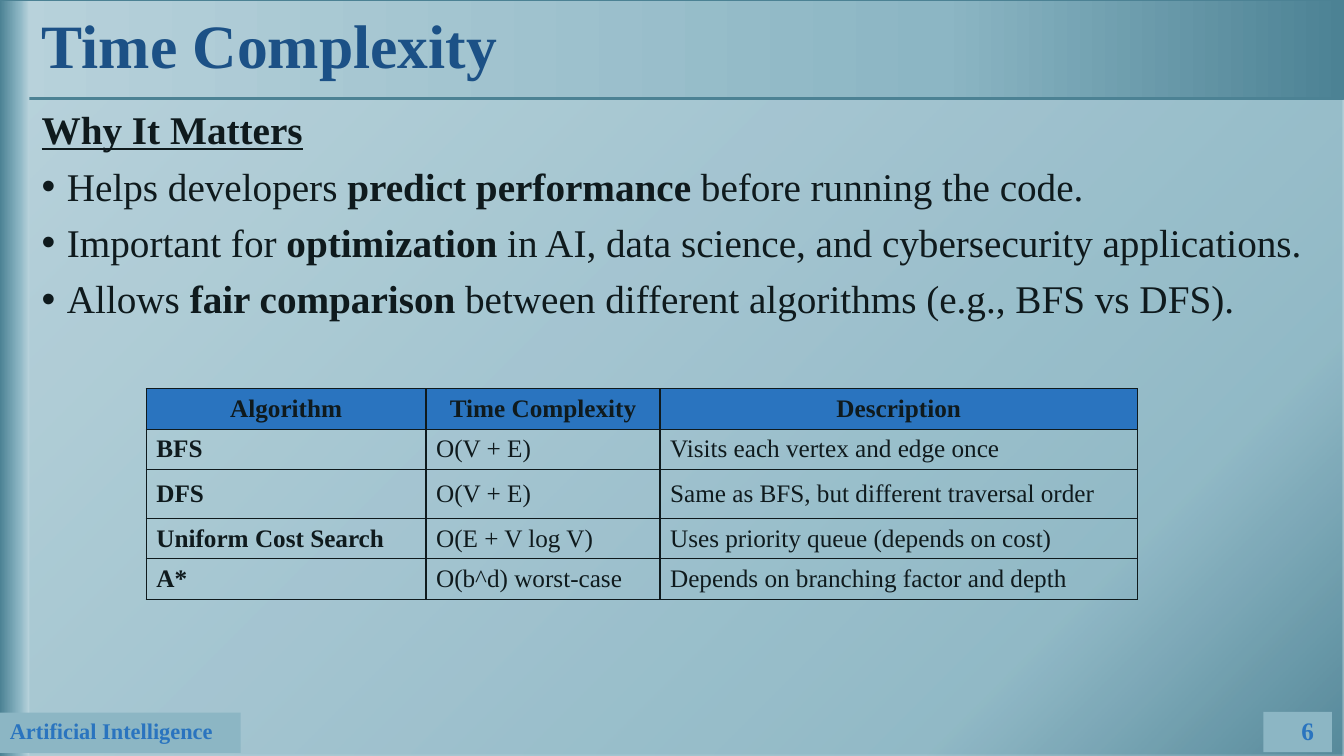
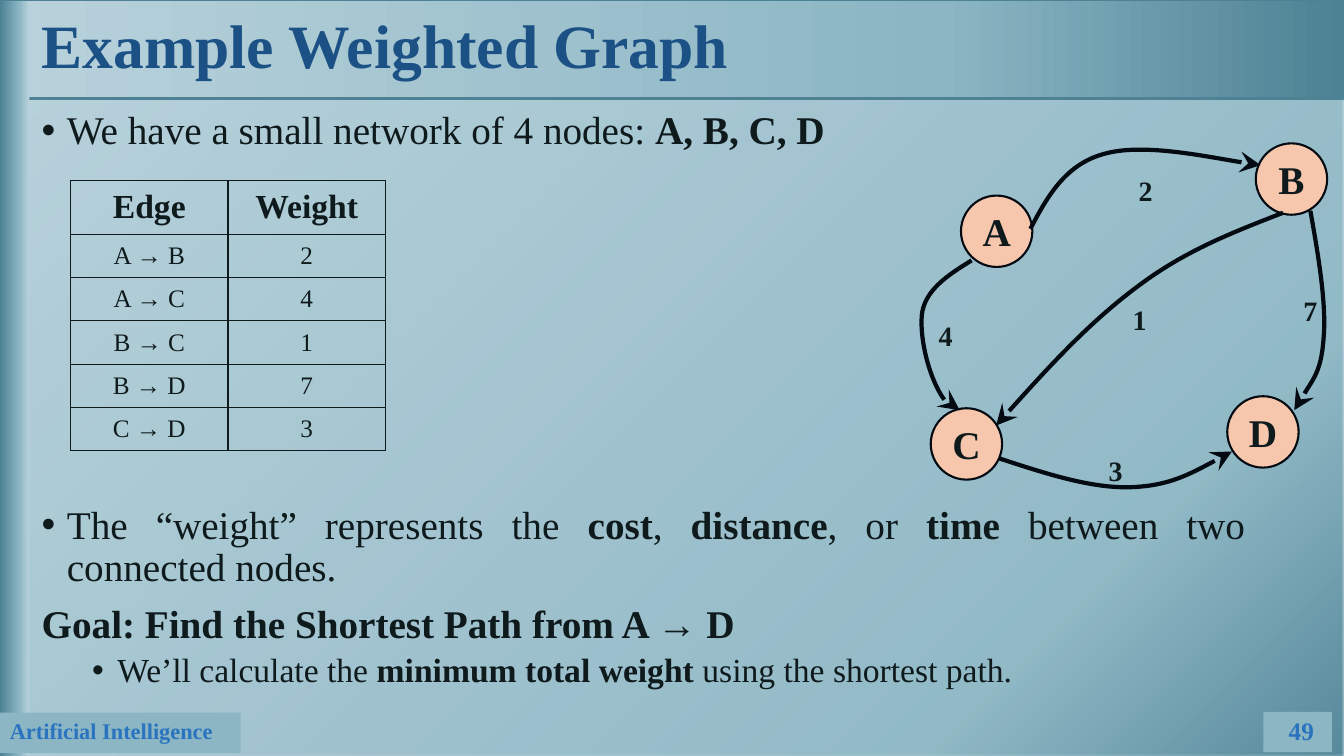
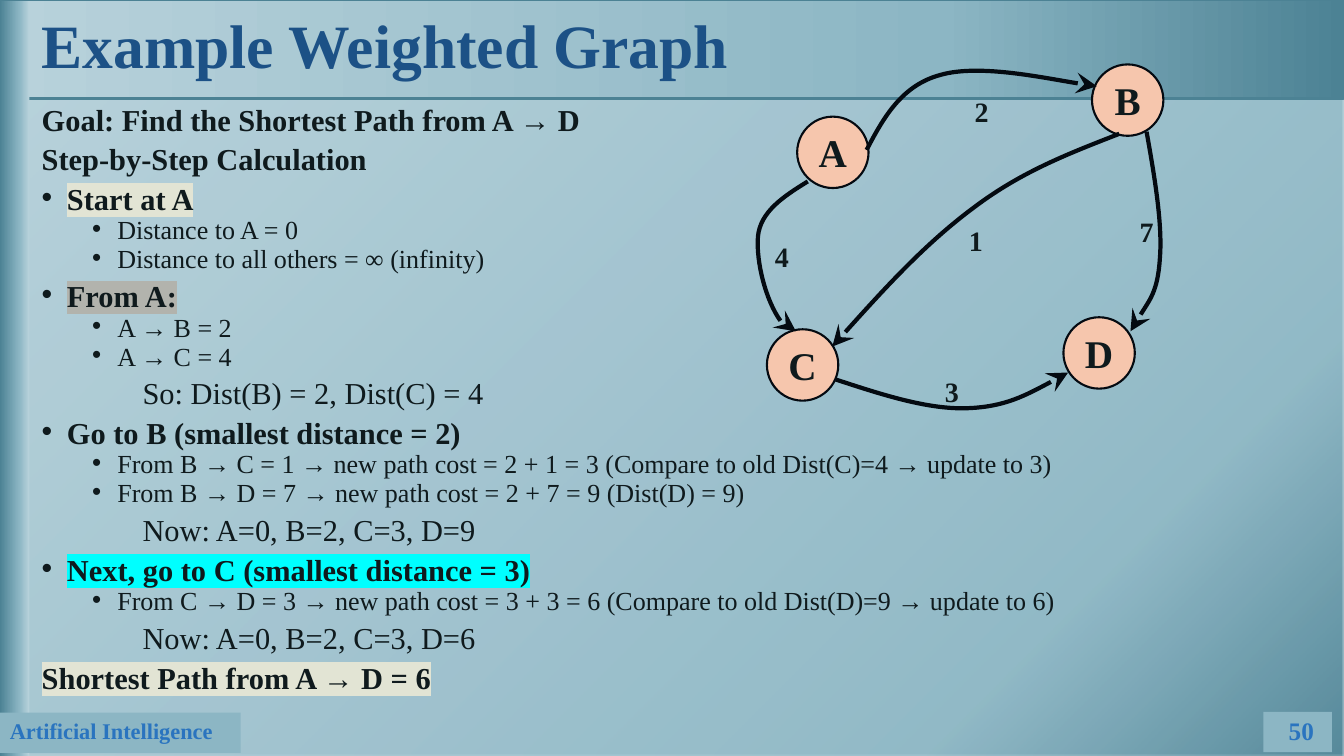
"""Build three lecture slides on time complexity and shortest paths."""
from lxml.etree import SubElement
from pptx import Presentation
from pptx.dml.color import RGBColor as RGB
from pptx.enum.shapes import MSO_SHAPE as SHAPE
from pptx.enum.text import MSO_ANCHOR as ANCHOR, MSO_AUTO_SIZE as AUTO, PP_ALIGN as ALIGN
from pptx.oxml.ns import qn
from pptx.util import Pt

FONT = "Times New Roman"
HUE = {
    "page": "D6E5EA", "deep": "4C8294", "mid": "8CB6C4", "pale": "B8D2DB",
    "title": "1C5186", "blue": "2A74BF", "ink": "0F1A1D", "line": "040A11",
    "node": "F6C6AD", "sand": "E2E4D4", "grey": "B2B3AD", "cyan": "00FFFF",
}


def write(par, text, size, hue="ink", bold=False, align=ALIGN.LEFT):
    par.alignment = align
    font = par.font
    font.name, font.size, font.bold = FONT, Pt(size), bold
    font.color.rgb = RGB.from_string(HUE[hue])
    for i, part in enumerate(text.split("|")):
        if part:
            run = par.add_run()
            run.text = part
            if i % 2:
                run.font.bold = True


def grid(sheet, left, top, cols, rows, data):
    table = sheet.shapes.add_table(
        len(rows), len(cols), Pt(left), Pt(top), Pt(sum(cols)), Pt(sum(rows))).table
    table.first_row = table.horz_banding = False
    for col, width in zip(table.columns, cols):
        col.width = Pt(width)
    for row, height, texts in zip(table.rows, rows, data):
        row.height = Pt(height)
        for cell, text in zip(row.cells, texts):
            props = cell._tc.get_or_add_tcPr()
            for side in ("lnL", "lnR", "lnT", "lnB"):
                edge = SubElement(props, qn(f"a:{side}"), w=str(Pt(1)))
                fill = SubElement(edge, qn("a:solidFill"))
                SubElement(fill, qn("a:srgbClr"), val=HUE["ink"])
            cell.fill.background()
            cell.vertical_anchor = ANCHOR.MIDDLE
            yield cell, text


deck = Presentation()
deck.slide_width, deck.slide_height = Pt(960), Pt(540)
layout = deck.slide_layouts[1]
back = layout.background.fill
back.solid()
back.fore_color.rgb = RGB.from_string(HUE["page"])
sheets = [deck.slides.add_slide(layout) for _ in range(3)]

bands = [
    (0, 1, 960, 539, 20, None, 92),
    (0.7, -0.7, 959.3, 71.2, 30, 180, 100),
    (902.4, 508.5, 49, 28.8, None, None, 100),
    (0, 1, 21, 539, 66, 0, 100),
    (0, 509, 172, 28.8, None, None, 100),
]
for i, (x, y, w, h, stop, angle, alpha) in enumerate(bands):
    band = sheets[0].shapes.add_shape(SHAPE.RECTANGLE, Pt(x), Pt(y), Pt(w), Pt(h))
    band.shadow.inherit = False
    band.line.fill.background()
    band.fill.solid()
    band.fill.fore_color.rgb = RGB.from_string(HUE["mid"])
    root = band.element
    if stop:
        flat = root.spPr.find(qn("a:solidFill"))
        grad = SubElement(root.spPr, qn("a:gradFill"), rotWithShape="1")
        stops = SubElement(grad, qn("a:gsLst"))
        for pos, hue in ((0, "deep"), (stop, "mid"), (100, "pale")):
            mark = SubElement(stops, qn("a:gs"), pos=str(pos * 1000))
            tint = SubElement(mark, qn("a:srgbClr"), val=HUE[hue])
            SubElement(tint, qn("a:alpha"), val=str(alpha * 1000))
        if angle is None:
            ring = SubElement(grad, qn("a:path"), path="circle")
            SubElement(ring, qn("a:fillToRect"), l="100000", t="100000")
        else:
            SubElement(grad, qn("a:lin"), ang=str(angle * 60000), scaled="0")
        root.spPr.replace(flat, grad)
    if angle == 180:
        band.line.color.rgb = RGB.from_string(HUE["deep"])
        band.line.width = Pt(2.25)
    root.nvSpPr.cNvPr.set("id", str(20 + i))
    layout.shapes.element.insert(2 + i, root)
band.text_frame.vertical_anchor = ANCHOR.TOP
write(band.text_frame.paragraphs[0], "Artificial Intelligence", 16, "blue", True)

kinds = {
    "head": (0, 0, 0, 10), "dot": (0, 18, -18, 10),
    "sub": (1, 54, -18, 5), "sum": (0, 72, 0, 10),
}
pages = [
    ("Time Complexity", "6", 925, 0.9, ALIGN.JUSTIFY, 28, 24, [
        ("head", "|Why It Matters|"),
        ("dot", "Helps developers |predict performance| before running the code."),
        ("dot", "Important for |optimization| in AI, data science, and cybersecurity applications."),
        ("dot", "Allows |fair comparison| between different algorithms (e.g., BFS vs DFS)."),
    ]),
    ("Example Weighted Graph", "49", 874, 0.9, ALIGN.JUSTIFY, 28, 24, [
        ("dot", "We have a small network of 4 nodes: |A, B, C, D|"),
        ("dot", "The “weight” represents the |cost|, |distance|, or |time| between two connected nodes."),
        ("head", "|Goal: Find the Shortest Path from A → D|"),
        ("sub", "We’ll calculate the |minimum total weight| using the shortest path."),
    ]),
    ("Example Weighted Graph", "50", 874, 0.7, ALIGN.LEFT, 21.7, 18.6, [
        ("head", "|Goal: Find the Shortest Path from A → D|"),
        ("head", "|Step-by-Step Calculation|"),
        ("dot", "|Start at A|"),
        ("sub", "Distance to A = 0"),
        ("sub", "Distance to all others = ∞ (infinity)"),
        ("dot", "|From A:|"),
        ("sub", "A → B = 2"),
        ("sub", "A → C = 4"),
        ("sum", "So: Dist(B) = 2, Dist(C) = 4"),
        ("dot", "|Go to B (smallest distance = 2)|"),
        ("sub", "From B → C = 1 → new path cost = 2 + 1 = 3 (Compare to old Dist(C)=4 → update to 3)"),
        ("sub", "From B → D = 7 → new path cost = 2 + 7 = 9 (Dist(D) = 9)"),
        ("sum", "Now: A=0, B=2, C=3, D=9"),
        ("dot", "|Next, go to C (smallest distance = 3)|"),
        ("sub", "From C → D = 3 → new path cost = 3 + 3 = 6 (Compare to old Dist(D)=9 → update to 6)"),
        ("sum", "Now: A=0, B=2, C=3, D=6"),
        ("head", "|Shortest Path from A → D = 6|"),
    ]),
]
lists = []
for sheet, (name, number, width, pitch, align, big, small, items) in zip(sheets, pages):
    title, body = sheet.placeholders
    title.left, title.top, title.width, title.height = Pt(22.6), Pt(2.4), Pt(896), Pt(65)
    frame = title.text_frame
    frame.auto_size, frame.vertical_anchor = AUTO.NONE, ANCHOR.MIDDLE
    frame.paragraphs[0].line_spacing = 0.9
    write(frame.paragraphs[0], name, 44, "title", True)

    body.left, body.top, body.width, body.height = Pt(22.6), Pt(75.6), Pt(width), Pt(451)
    frame = body.text_frame
    frame.auto_size, frame.vertical_anchor = AUTO.NONE, ANCHOR.TOP
    for i, (kind, text) in enumerate(items):
        par = frame.add_paragraph() if i else frame.paragraphs[0]
        level, margin, hang, gap = kinds[kind]
        props = par._p.get_or_add_pPr()
        props.set("marL", str(Pt(margin)))
        props.set("indent", str(Pt(hang)))
        if hang:
            SubElement(props, qn("a:buFont"), typeface="Arial")
            SubElement(props, qn("a:buChar"), char="•")
        else:
            SubElement(props, qn("a:buNone"))
        par.level = level
        par.line_spacing = pitch
        par.space_before = Pt(gap if i else 0)
        write(par, text, small if level else big, align=align)
    lists.append(frame.paragraphs)

    box = sheet.shapes.add_textbox(Pt(812.6), Pt(507.4), Pt(133), Pt(29))
    box.text_frame.word_wrap = True
    box.text_frame.vertical_anchor = ANCHOR.MIDDLE
    write(box.text_frame.paragraphs[0], number, 18, "blue", True, ALIGN.RIGHT)

lists[0][0].runs[0].font.underline = True
lists[1][1].space_before = Pt(251.6)
for i, hue in ((2, "sand"), (5, "grey"), (13, "cyan"), (16, "sand")):
    mark = SubElement(lists[2][i].runs[0]._r.get_or_add_rPr(), qn("a:highlight"))
    SubElement(mark, qn("a:srgbClr"), val=HUE[hue])

costs = [
    ("Algorithm", "Time Complexity", "Description"),
    ("BFS", "O(V + E)", "Visits each vertex and edge once"),
    ("DFS", "O(V + E)", "Same as BFS, but different traversal order"),
    ("Uniform Cost Search", "O(E + V log V)", "Uses priority queue (depends on cost)"),
    ("A*", "O(b^d) worst-case", "Depends on branching factor and depth"),
]
firsts = [row[0] for row in costs]
rows = (28.8, 28.8, 35, 28.8, 28.8)
for cell, text in grid(sheets[0], 104.5, 277.7, (199.8, 167.2, 341), rows, costs):
    head = text in costs[0]
    if head:
        cell.fill.solid()
        cell.fill.fore_color.rgb = RGB.from_string(HUE["blue"])
    write(cell.text_frame.paragraphs[0], text, 18, bold=head or text in firsts,
          align=ALIGN.CENTER if head else ALIGN.LEFT)

edges = [("Edge", "Weight"), ("A → B", "2"), ("A → C", "4"),
         ("B → C", "1"), ("B → D", "7"), ("C → D", "3")]
for cell, text in grid(sheets[1], 50.4, 128.9, (112.5,) * 2, (38.5,) + (30.9,) * 5, edges):
    head = text in edges[0]
    write(cell.text_frame.paragraphs[0], text, 24 if head else 18, bold=head, align=ALIGN.CENTER)

nodes = {"A": (686.4, 139.7), "B": (897, 102.4), "C": (664.8, 291.6), "D": (876.6, 283)}
curves = {
    "2": [(736, 163.5), (748, 140.5), (761, 117.5), (788.5, 110),
          (816, 102), (883, 116), (900.5, 118)],
    "4": [(694, 186), (677, 196.5), (660, 207.5), (658.4, 225.5),
          (657, 243.5), (669, 293), (685.5, 293)],
    "1": [(916.5, 152), (882, 165.5), (847.5, 178.5), (813.5, 204),
          (779, 229.5), (745, 266.5), (711.5, 304)],
    "7": [(936, 150.5), (942, 184), (947.5, 217.5), (945.5, 241),
          (944, 265), (931.5, 281), (924.5, 293)],
    "3": [(714, 327.5), (747.5, 338.5), (780, 349), (808, 348),
          (835, 347), (857.5, 335), (880, 322.5)],
}
for sheet, dx, dy in ((sheets[1], 0, 0), (sheets[2], -117, -56.4)):
    parts = []
    for name, (x, y) in nodes.items():
        node = sheet.shapes.add_shape(SHAPE.OVAL, Pt(x + dx), Pt(y + dy), Pt(51), Pt(51))
        node.fill.solid()
        node.fill.fore_color.rgb = RGB.from_string(HUE["node"])
        parts.append((node, name, 28, 1.5))
    for cost, points in curves.items():
        start, *rest = [(Pt(x + dx), Pt(y + dy)) for x, y in points]
        pen = sheet.shapes.build_freeform(*start)
        pen.add_line_segments(rest, close=False)
        edge = pen.convert_to_shape()
        edge.fill.background()
        trace = next(edge.element.iter(qn("a:path")))
        legs = trace.findall(qn("a:lnTo"))
        for i in range(0, len(legs), 3):
            bend = SubElement(trace, qn("a:cubicBezTo"))
            for leg in legs[i:i + 3]:
                bend.append(leg[0])
                trace.remove(leg)
        parts.append((edge, cost, 20, 3))
    for part, text, size, weight in parts:
        part.shadow.inherit = False
        part.line.color.rgb = RGB.from_string(HUE["line"])
        part.line.width = Pt(weight)
        if text in curves:
            SubElement(part.element.spPr.find(qn("a:ln")), qn("a:tailEnd"),
                       type="stealth", w="lg", len="lg")
        frame = part.text_frame
        frame.margin_left = frame.margin_right = 0
        frame.margin_top = Pt(9.2 if text == "2" else 3.6)
        frame.vertical_anchor = ANCHOR.MIDDLE
        write(frame.paragraphs[0], text, size, bold=True, align=ALIGN.CENTER)
    sheet.shapes.add_group_shape([part[0] for part in parts])

deck.save("out.pptx")
